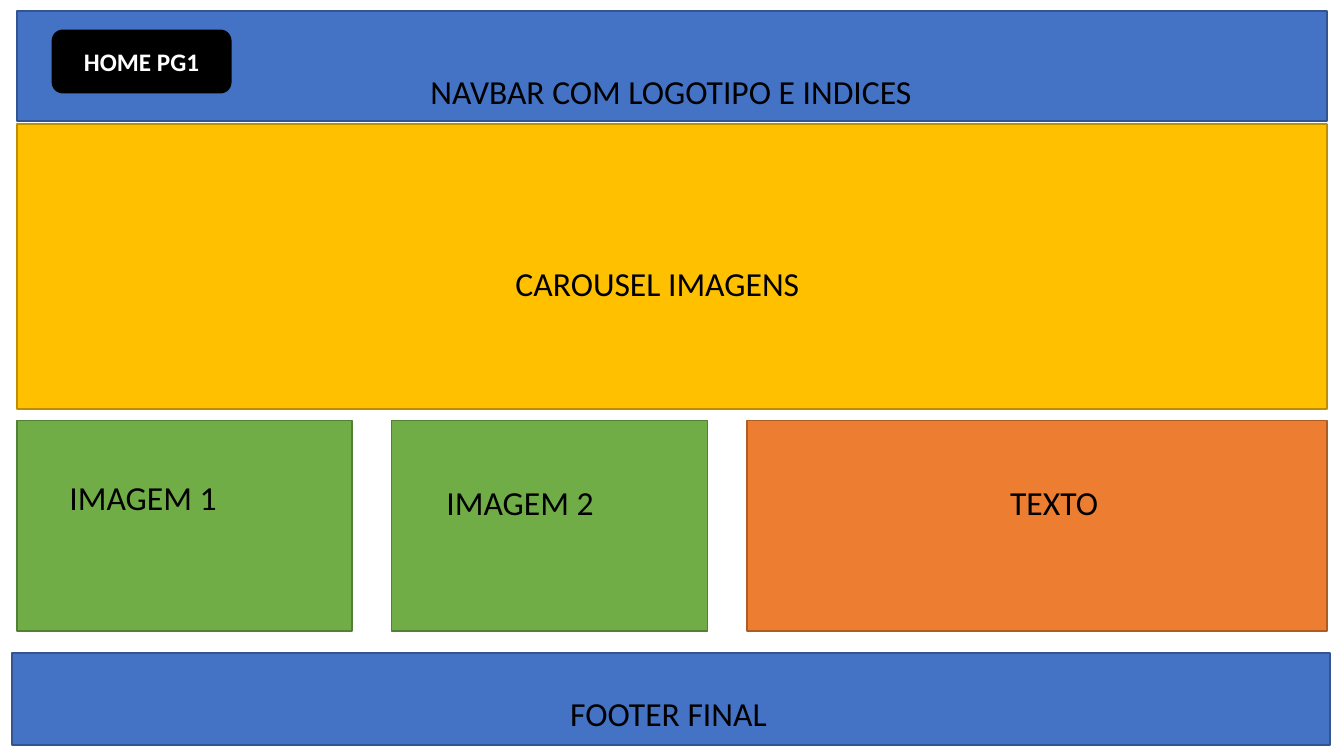
from pptx import Presentation
from pptx.dml.color import RGBColor as Rgb
from pptx.enum.shapes import MSO_SHAPE as Kind
from pptx.enum.text import MSO_ANCHOR as Anchor, PP_ALIGN as Align
from pptx.util import Inches, Pt

HUES = {
    "blue": ("4472C4", "325491"),
    "gold": ("FFC000", "BD8E00"),
    "green": ("70AD47", "538035"),
    "rust": ("ED7D31", "AF5C24"),
    "black": ("000000", "000000"),
    "white": ("FFFFFF", "FFFFFF"),
}

deck = Presentation()
deck.slide_width, deck.slide_height = Inches(13.33), Inches(7.5)
page = deck.slides.add_slide(deck.slide_layouts[6])

# Grid of 100 columns by 100 rows
COL, ROW = deck.slide_width / 100, deck.slide_height / 100
LEFT, WIDE = 1.28, 97.45


def scale(box):
    x, y, w, h = box
    return [int(n) for n in (x * COL, y * ROW, w * COL, h * ROW)]


def inset(box, part):
    """Shift a part, given relative to a box, onto the slide grid."""
    return box[0] + part[0], box[1] + part[1], part[2], part[3]


def put(target, style):
    for key, value in style.items():
        setattr(target, key, value)


def block(box, hue, kind=Kind.RECTANGLE):
    shape = page.shapes.add_shape(kind, *scale(box))
    shape.shadow.inherit = False
    fill, edge = HUES[hue]
    shape.fill.solid()
    shape.fill.fore_color.rgb = Rgb.from_string(fill)
    shape.line.color.rgb = Rgb.from_string(edge)
    shape.line.width = Pt(1)
    return shape


def write(shape, text, frame, font, hue="black"):
    put(shape.text_frame, {"word_wrap": True, **frame})
    line = shape.text_frame.paragraphs[0]
    line.alignment = Align.CENTER
    run = line.add_run()
    run.text = text
    put(run.font, {"name": "Calibri", **font})
    run.font.color.rgb = Rgb.from_string(HUES[hue][0])


def region(box, hue, text, part, drop=0.56, right=0.1):
    """Coloured area with a label box placed relative to it."""
    block(box, hue)
    label = page.shapes.add_textbox(*scale(inset(box, part)))
    frame = {"vertical_anchor": Anchor.TOP, "margin_top": Inches(drop),
             "margin_right": Inches(right)}
    write(label, text, frame, {"size": Pt(24)})


def navbar(box):
    region(box, "blue", "NAVBAR COM LOGOTIPO E INDICES",
           (-0.38, 0.4, 98.05, 13.47))
    button = block(inset(box, (2.62, 2.53, 13.28, 8.27)), "black",
                   Kind.ROUNDED_RECTANGLE)
    write(button, "HOME PG1", {"vertical_anchor": Anchor.MIDDLE},
          {"size": Pt(18), "bold": True}, "white")


def tiles(box, gap=2.93):
    x, y, _, h = box
    # width, hue, text, label shift across and down, right margin
    rows = [
        (24.9, "green", "IMAGEM 1", 0, 0, 0.93),
        (23.55, "green", "IMAGEM 2", -0.08, 0.67, 0.85),
        (43.14, "rust", "TEXTO", 10.35, 0.67, 0.1),
    ]
    for w, hue, text, dx, dy, right in rows:
        region((x, y, w, h), hue, text, (dx, dy, 24.98, h), right=right)
        x += w + gap


# Page from top to bottom
region((LEFT, 16.4, WIDE, 37.73), "gold", "CAROUSEL IMAGENS",
       (-0.38, 4.27, 96.02, 29.33), drop=1.06)
navbar((LEFT, 1.47, WIDE, 14.53))
tiles((LEFT, 55.6, WIDE, 27.87))
region((0.9, 86.4, 98.05, 12.13), "blue", "FOOTER FINAL",
       (-0.15, -2.27, 97.97, 15.87))

deck.save("out.pptx")
